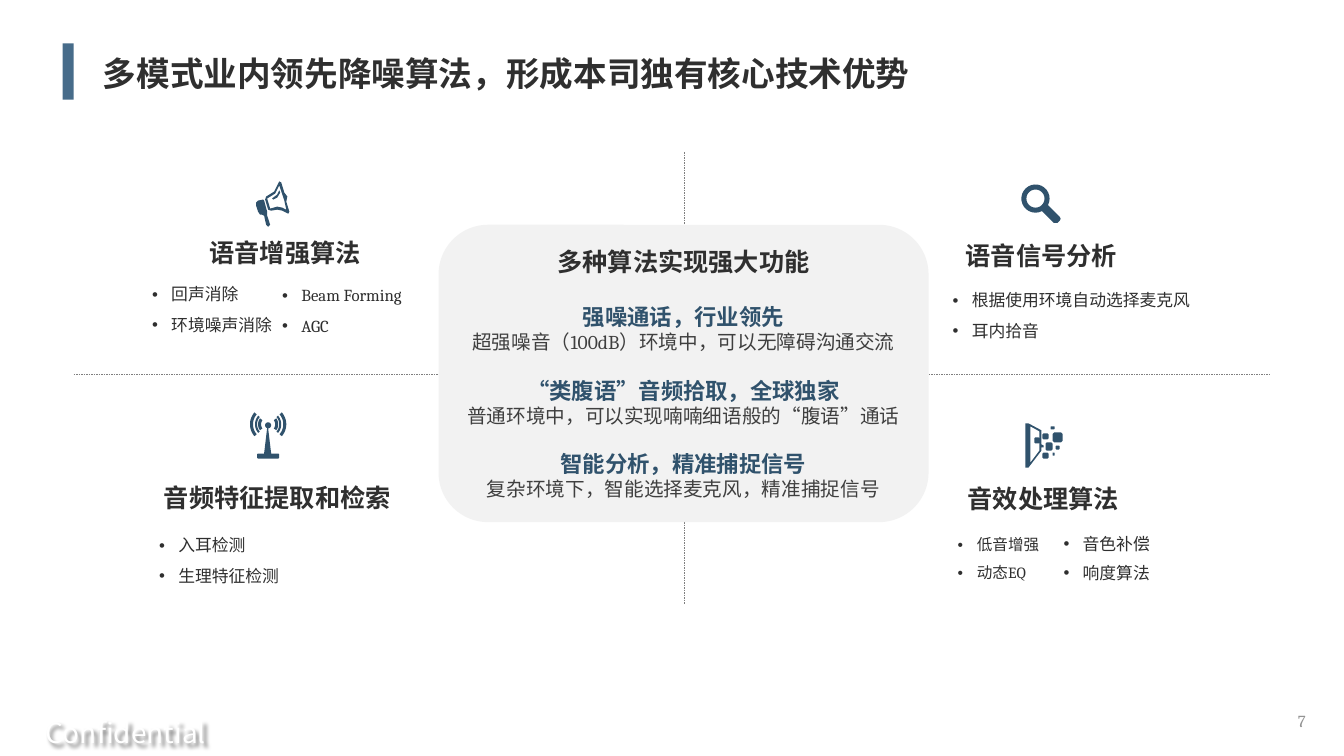
import math

from lxml import etree
from pptx import Presentation, util as u
from pptx.dml.color import RGBColor
from pptx.enum import dml, shapes, text
from pptx.oxml import parse_xml
from pptx.oxml.ns import nsdecls, qn

INK, BLUE, GREY, BODY = "2F2F2F", "30526C", "7F7F7F", "3F3F3F"
LEFT, CENTER, RIGHT = text.PP_ALIGN.LEFT, text.PP_ALIGN.CENTER, text.PP_ALIGN.RIGHT

TITLE = "多模式业内领先降噪算法，形成本司独有核心技术优势"
HEADINGS = [  # words, box, alignment
    ("语音增强算法", (1.98, 2.31, 2.06, 0.42), LEFT),
    ("语音信号分析", (9.48, 2.33, 2.06, 0.42), LEFT),
    ("音频特征提取和检索", (1.5, 4.74, 2.5, 0.43), CENTER),
    ("音效处理算法", (9.5, 4.75, 2.06, 0.53), LEFT),
]
BULLETS = [  # items, box, size, line spacing
    (["回声消除", "环境噪声消除"], (1.41, 2.67, 1.59, 0.82), 12, 1.5),
    (["Beam Forming", "AGC"], (2.7, 2.68, 1.59, 0.82), 12, 1.5),
    (["根据使用环境自动选择麦克风", "耳内拾音"], (9.35, 2.73, 3.04, 0.73), 12, 1.5),
    (["入耳检测", "生理特征检测"], (1.48, 5.16, 2.44, 0.82), 12, 1.5),
    (["低音增强", "动态EQ"], (9.4, 5.17, 1.02, 0.82), 11.1, 1.5),
    (["音色补偿", "响度算法"], (10.45, 5.17, 1.26, 0.64), 12, 1.4),
]
PANEL_TITLE = "多种算法实现强大功能"
PANEL = [
    ("强噪通话，行业领先", "超强噪音（100dB）环境中，可以无障碍沟通交流"),
    ("“类腹语”音频拾取，全球独家", "普通环境中，可以实现喃喃细语般的“腹语”通话"),
    ("智能分析，精准捕捉信号", "复杂环境下，智能选择麦克风，精准捕捉信号"),
]
DIVIDERS = [((0.73, 3.71), (12.6, 3.71)), ((6.79, 1.51), (6.79, 5.99))]

MEGAPHONE = [
    [(2.56, 1.99), (2.61, 1.98), (2.62, 1.99), (2.65, 2.1), (2.65, 2.14), (2.67, 2.2),
     (2.68, 2.23), (2.66, 2.25), (2.64, 2.23), (2.62, 2.14), (2.6, 2.13), (2.58, 2.13),
     (2.56, 2.1), (2.54, 2.04), (2.54, 2.01)],
    [(2.77, 1.89), (2.78, 1.91), (2.75, 1.96), (2.71, 1.98), (2.7, 1.97), (2.71, 1.96),
     (2.75, 1.93)],
    [(2.77, 1.84), (2.73, 1.92), (2.65, 1.97), (2.68, 2.07), (2.75, 2.05), (2.8, 2.06),
     (2.84, 2.08), (2.82, 1.99), (2.8, 1.93)],
    [(2.77, 1.8), (2.79, 1.81), (2.82, 1.91), (2.85, 1.95), (2.84, 2), (2.87, 2.1),
     (2.86, 2.12), (2.84, 2.11), (2.8, 2.09), (2.75, 2.08), (2.69, 2.09), (2.66, 2.08),
     (2.63, 1.98), (2.64, 1.95), (2.72, 1.9), (2.76, 1.82)],
]
HANDLE = [(10.39, 2.03), (10.51, 2.15), (10.52, 2.17), (10.51, 2.19), (10.49, 2.21),
          (10.47, 2.21), (10.45, 2.21), (10.33, 2.09)]
DOOR = [
    [(10.17, 4.2), (10.2, 4.2), (10.33, 4.27), (10.33, 4.41), (10.35, 4.42), (10.35, 4.44),
     (10.33, 4.44), (10.33, 4.47), (10.2, 4.64), (10.17, 4.64)],
    [(10.22, 4.23), (10.22, 4.59), (10.31, 4.47), (10.31, 4.28)],
]
SPARKS = [  # left, top, width, height
    (10.44, 4.29, 0.1, 0.1), (10.37, 4.39, 0.07, 0.08), (10.34, 4.3, 0.06, 0.06),
    (10.34, 4.49, 0.06, 0.06), (10.26, 4.34, 0.05, 0.06), (10.47, 4.42, 0.04, 0.04),
    (10.42, 4.23, 0.04, 0.03), (10.44, 4.49, 0.02, 0.03),
]
MAST_TOP, MAST_X = 4.21, 2.66
WAVES = [(0.15, 0.18, 41), (0.11, 0.13, 41), (0.07, 0.1, 36)]  # radii, half angle


def rgb(value):
    return RGBColor.from_string(value)


def inches(values):
    return [u.Inches(value) for value in values]


def arc(x, y, radius, start, end, steps=24):
    angles = [math.radians(start + (end - start) * i / steps) for i in range(steps + 1)]
    return [(x + radius * math.cos(a), y + radius * math.sin(a)) for a in angles]


def chamfer(left, top, width, height):
    """Outline of a rectangle with small cut corners."""
    right, bottom, cut = left + width, top + height, min(width, height) / 6
    return [(left + cut, top), (right - cut, top), (right, top + cut), (right, bottom - cut),
            (right - cut, bottom), (left + cut, bottom), (left, bottom - cut), (left, top + cut)]


def paint(shape, color):
    shape.shadow.inherit = False
    shape.fill.solid()
    shape.fill.fore_color.rgb = rgb(color)
    shape.line.fill.background()
    return shape


def draw_icon(page, contours):
    contours = [[inches(point) for point in contour] for contour in contours]
    builder = page.shapes.build_freeform(*contours[0][0], scale=1.0)
    builder.add_line_segments(contours[0][1:], close=True)
    for contour in contours[1:]:
        builder.move_to(*contour[0])
        builder.add_line_segments(contour[1:], close=True)
    paint(builder.convert_to_shape(), BLUE)


def add_span(para, words, size, color, bold=False, name="Cambria"):
    span = para.add_run()
    span.text = words
    for key, value in dict(size=u.Pt(size), bold=bold, name=name).items():
        setattr(span.font, key, value)
    span.font.color.rgb = rgb(color)


def add_box(page, place, **frame_format):
    box = page.shapes.add_textbox(*inches(place))
    for key, value in frame_format.items():
        setattr(box.text_frame, key, value)
    return box


def add_bullet(para):
    props = para._p.get_or_add_pPr()
    props.set("marL", str(u.Inches(0.19)))
    props.set("indent", str(-u.Inches(0.19)))
    etree.SubElement(props, qn("a:buFont")).set("typeface", "Arial")
    etree.SubElement(props, qn("a:buChar")).set("char", "•")


def add_panel(page):
    place = inches((4.35, 2.23, 4.86, 2.95))
    panel = paint(page.shapes.add_shape(shapes.MSO_SHAPE.ROUNDED_RECTANGLE, *place), "F2F2F2")
    frame = panel.text_frame
    frame.word_wrap, frame.vertical_anchor = True, text.MSO_ANCHOR.MIDDLE
    lines = [(PANEL_TITLE, 18, INK, True, 0)]
    for i, (claim, detail) in enumerate(PANEL):
        lines += [(claim, 16, BLUE, True, 16.5 if i else 19), (detail, 14, BODY, False, 0)]
    for i, (words, size, color, bold, gap) in enumerate(lines):
        para = frame.add_paragraph() if i else frame.paragraphs[0]
        para.alignment = CENTER
        if gap:
            para.space_before = u.Pt(gap)
        add_span(para, words, size, color, bold)


def main():
    deck = Presentation()
    deck.slide_width, deck.slide_height = inches((13.33, 7.5))
    page = deck.slides.add_slide(deck.slide_layouts[5])
    middle = text.MSO_ANCHOR.MIDDLE

    bar = inches((0.62, 0.43, 0.11, 0.56))
    paint(page.shapes.add_shape(shapes.MSO_SHAPE.RECTANGLE, *bar), "476C8A")
    title = page.shapes.title
    title.left, title.top, title.width, title.height = inches((0.92, 0.49, 9.55, 0.47))
    frame = title.text_frame
    frame.auto_size, frame.vertical_anchor = text.MSO_AUTO_SIZE.NONE, middle
    frame.paragraphs[0].alignment = LEFT
    add_span(frame.paragraphs[0], TITLE, 24, INK, True)

    for start, end in DIVIDERS:
        line = page.shapes.add_connector(shapes.MSO_CONNECTOR.STRAIGHT, *inches(start + end))
        line.line.color.rgb = rgb(GREY)
        line.line.width = u.Pt(0.25)
        line.line.dash_style = dml.MSO_LINE.DASH
        etree.SubElement(line._element.spPr, qn("a:effectLst"))

    for words, place, align in HEADINGS:
        para = add_box(page, place, word_wrap=False).text_frame.paragraphs[0]
        para.alignment = align
        add_span(para, words, 18, INK, True)
    for items, place, size, spacing in BULLETS:
        frame = add_box(page, place, word_wrap=True).text_frame
        for i, item in enumerate(items):
            para = frame.add_paragraph() if i else frame.paragraphs[0]
            add_bullet(para)
            para.line_spacing = spacing
            add_span(para, item, size, INK)
    add_panel(page)

    draw_icon(page, MEGAPHONE)
    draw_icon(page, [arc(10.27, 1.97, 0.14, 64, 388) + HANDLE, arc(10.27, 1.97, 0.09, 0, 360)])
    draw_icon(page, DOOR + [chamfer(*spark) for spark in SPARKS])
    waves = [arc(MAST_X, MAST_TOP, outer, side - half, side + half)
             + arc(MAST_X, MAST_TOP, inner, side + half, side - half)
             for side in (0, 180) for inner, outer, half in WAVES]
    mast = [(2.65, 4.25), (2.66, 4.25), (2.69, 4.5), (2.62, 4.5)]
    draw_icon(page, waves + [arc(MAST_X, 4.22, 0.03, 0, 360), mast,
                             chamfer(2.55, 4.5, 0.22, 0.05)])

    number = add_box(page, (10.05, 6.95, 3, 0.4), word_wrap=True, vertical_anchor=middle)
    para = number.text_frame.paragraphs[0]
    para.alignment = RIGHT
    add_span(para, "7", 12, "939393")

    margins = {f"margin_{side}": u.Inches(0.08) for side in ("left", "top", "right", "bottom")}
    notice = add_box(page, (0.35, 7.02, 1.79, 0.49), word_wrap=False, vertical_anchor=middle,
                     **margins)
    para = notice.text_frame.paragraphs[0]
    para.alignment = CENTER
    add_span(para, "Confidential", 20, "FFFFFF", name="Noto Sans CJK SC")
    notice._element.spPr.append(parse_xml(
        f'<a:effectLst {nsdecls("a")}><a:outerShdw blurRad="38100" dist="38100" dir="2700000">'
        '<a:srgbClr val="000000"><a:alpha val="50000"/></a:srgbClr></a:outerShdw></a:effectLst>'))

    deck.save("out.pptx")


if __name__ == "__main__":
    main()
